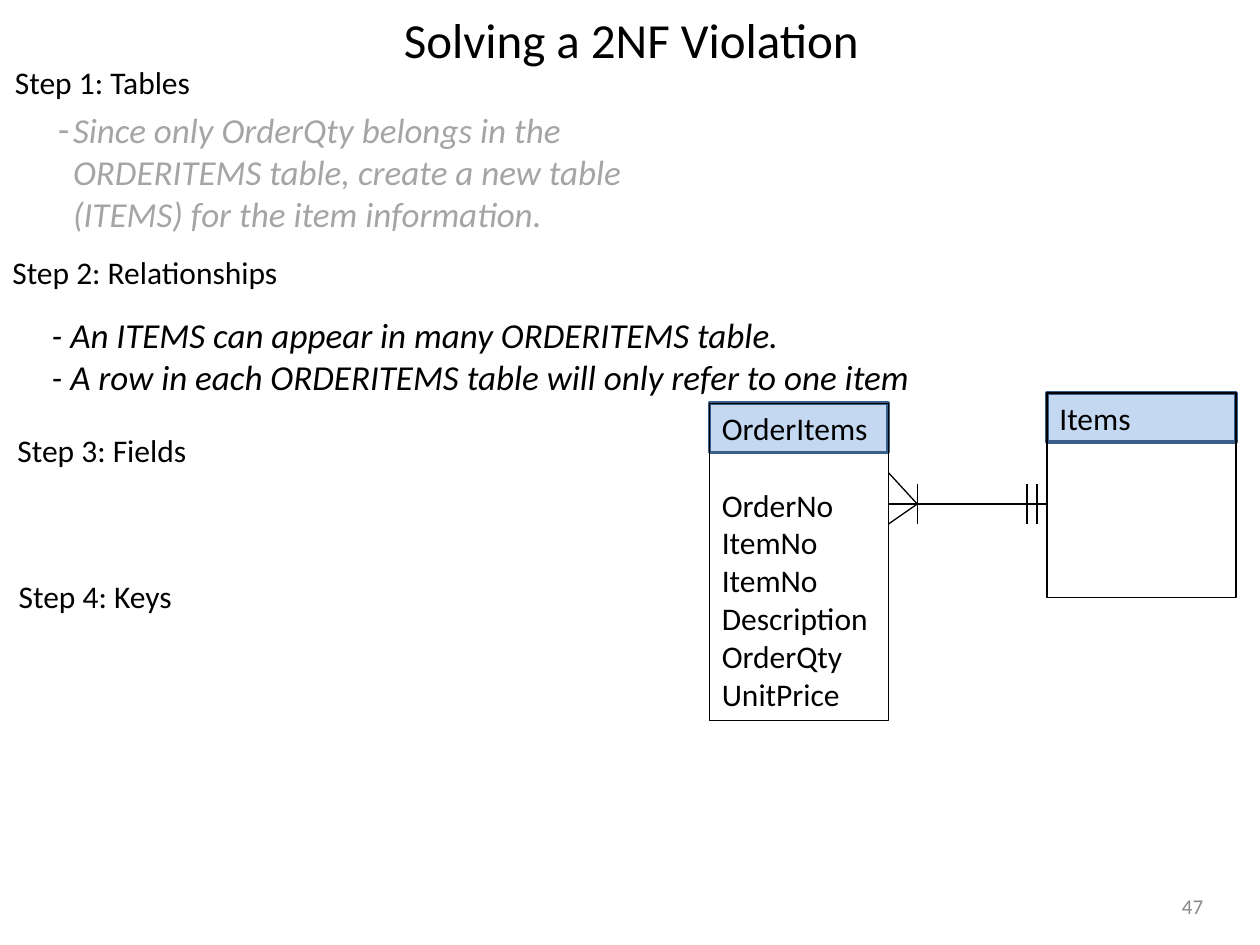
import dataclasses

import lxml.etree
import pptx
import pptx.dml.color
import pptx.enum.shapes
import pptx.enum.text
import pptx.oxml.ns
import pptx.util

Inches = pptx.util.Inches
Pt = pptx.util.Pt
ALIGN = pptx.enum.text.PP_ALIGN
ANCHOR = pptx.enum.text.MSO_ANCHOR


@dataclasses.dataclass(frozen=True)
class Theme:
    font: str = "Calibri"
    title: int = 28
    note: int = 20
    label: int = 18
    number: int = 12
    ink: str = "000000"
    faded: str = "A5A5A5"
    page: str = "888888"
    header_fill: str = "C5D8F1"
    header_line: str = "395E89"


THEME = Theme()


def rgb(value):
    return pptx.dml.color.RGBColor.from_string(value)


def place(element, left, top, width, height):
    element.left, element.top = Inches(left), Inches(top)
    element.width, element.height = Inches(width), Inches(height)


def write(element, lines, size, color=THEME.ink, italic=False,
          align=ALIGN.LEFT, anchor=ANCHOR.TOP):
    frame = element.text_frame
    frame.text = "\n".join(lines)
    frame.word_wrap = True
    frame.auto_size = pptx.enum.text.MSO_AUTO_SIZE.NONE
    frame.vertical_anchor = anchor
    for paragraph in frame.paragraphs:
        paragraph.alignment = align
        for run in paragraph.runs:
            run.font.name = THEME.font
            run.font.size = Pt(size)
            run.font.italic = italic
            run.font.color.rgb = rgb(color)


def add_label(slide, box, text, size=THEME.label, **style):
    label = slide.shapes.add_textbox(*map(Inches, box))
    write(label, [text], size, **style)


def fill_notes(body, box, lines, color, hanging, bullet=None):
    place(body, *box)
    write(body, lines, THEME.note, color, italic=True)
    for paragraph in body.text_frame.paragraphs:
        paragraph.space_before = Pt(0)
        properties = paragraph._p.get_or_add_pPr()
        properties.set("marL", str(Inches(0.12)))
        properties.set("indent", str(-Inches(hanging)))
        tag = "a:buChar" if bullet else "a:buNone"
        marker = lxml.etree.SubElement(properties, pptx.oxml.ns.qn(tag))
        if bullet:
            marker.set("char", bullet)


def add_box(slide, box, line_color, line_width, fill=None):
    rectangle = slide.shapes.add_shape(
        pptx.enum.shapes.MSO_SHAPE.RECTANGLE, *map(Inches, box))
    rectangle.shadow.inherit = False
    rectangle.line.color.rgb = rgb(line_color)
    rectangle.line.width = Pt(line_width)
    if fill:
        rectangle.fill.solid()
        rectangle.fill.fore_color.rgb = rgb(fill)
    else:
        rectangle.fill.background()
    return rectangle


def add_entity(slide, left, top, width, height, name, fields=()):
    add_box(slide, (left, top, width, 0.39), THEME.header_line, 2, THEME.header_fill)
    outline = add_box(slide, (left, top, width, height), THEME.ink, 0.75)
    write(outline, [name, *fields], THEME.label)
    if fields:
        outline.text_frame.paragraphs[1].space_before = Pt(22)


def add_line(slide, start, end):
    line = slide.shapes.add_connector(
        pptx.enum.shapes.MSO_CONNECTOR.STRAIGHT, *map(Inches, (*start, *end)))
    line.line.color.rgb = rgb(THEME.ink)
    line.line.width = Pt(0.75)
    lxml.etree.SubElement(line._element.spPr, pptx.oxml.ns.qn("a:effectLst"))


def add_relationship(slide, many_x, one_x, y):
    fork_x = many_x + 0.23
    add_line(slide, (one_x, y), (many_x, y))
    for toe_y in (y + 0.16, y - 0.25):
        add_line(slide, (fork_x, y), (many_x, toe_y))
    for bar_x in (fork_x, one_x - 0.16, one_x - 0.08):
        add_line(slide, (bar_x, y + 0.16), (bar_x, y - 0.16))


def main():
    deck = pptx.Presentation()
    deck.slide_width, deck.slide_height = Inches(10), Inches(7.5)
    slide = deck.slides.add_slide(deck.slide_layouts.get_by_name("Two Content"))
    title, tables_note, relationships_note = slide.placeholders

    place(title, 0.51, 0.02, 9, 0.58)
    write(title, ["Solving a 2NF Violation"], THEME.title,
          align=ALIGN.CENTER, anchor=ANCHOR.MIDDLE)

    steps = (
        ("Step 1: Tables", 0.02, 0.45, 1.81),
        ("Step 2: Relationships", 0, 1.96, 2.56),
        ("Step 3: Fields", 0.04, 3.37, 1.73),
        ("Step 4: Keys", 0.05, 4.53, 1.62),
    )
    for text, left, top, width in steps:
        add_label(slide, (left, top, width, 0.4), text)

    fill_notes(tables_note, (0.36, 0.81, 4.72, 1.11), [
        "Since only OrderQty belongs in the ORDERITEMS table, "
        "create a new table (ITEMS) for the item information.",
    ], THEME.faded, 0.14, bullet="-")
    fill_notes(relationships_note, (0.31, 2.44, 7.29, 0.77), [
        "- An ITEMS can appear in many ORDERITEMS table.",
        "- A row in each ORDERITEMS table will only refer to one item",
    ], THEME.ink, 0.12)

    add_entity(slide, 5.63, 3.2, 1.42, 2.52, "OrderItems", (
        "OrderNo", "ItemNo", "ItemNo", "Description", "OrderQty", "UnitPrice"))
    add_entity(slide, 8.31, 3.12, 1.5, 1.62, "Items")
    add_relationship(slide, many_x=7.05, one_x=8.31, y=4)

    add_label(slide, (9.17, 7.03, 0.59, 0.32), "47", THEME.number,
              color=THEME.page, align=ALIGN.CENTER, anchor=ANCHOR.MIDDLE)
    deck.save("out.pptx")


if __name__ == "__main__":
    main()
